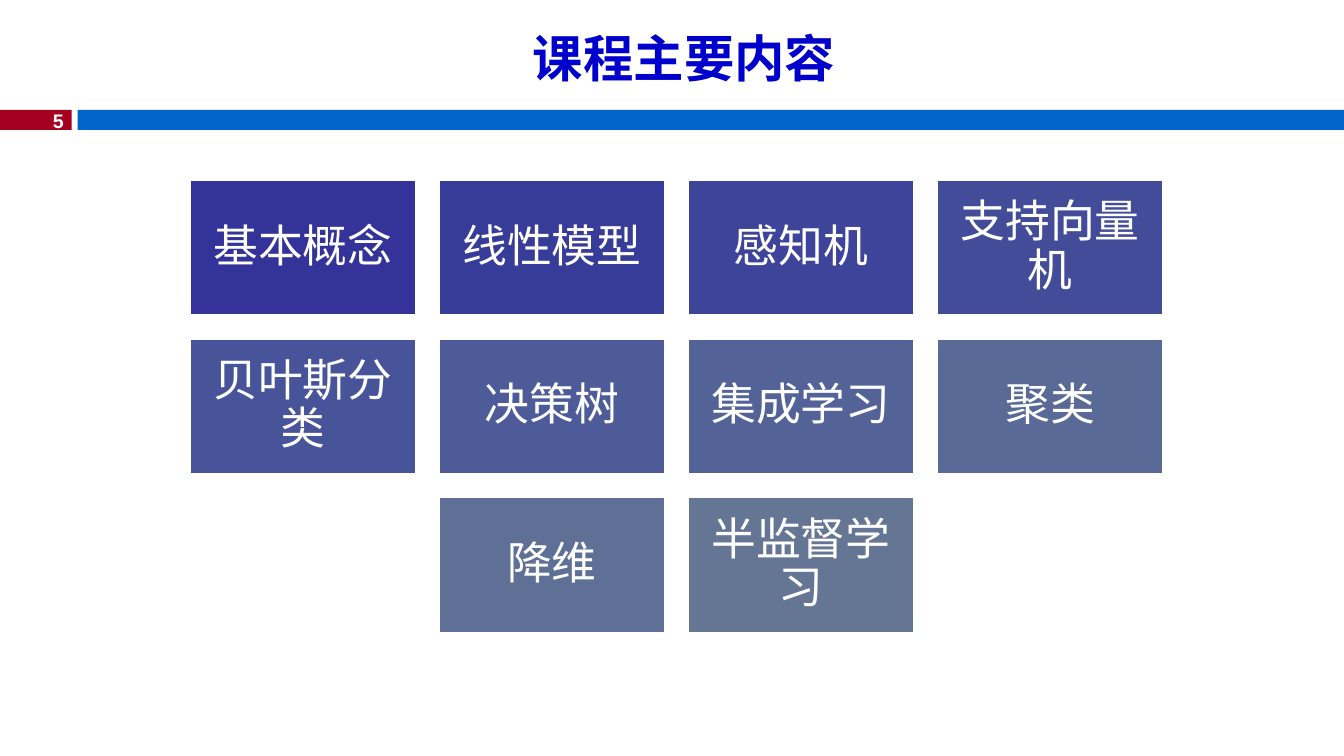
from pptx import Presentation
from pptx import util as u
from pptx.dml.color import RGBColor
from pptx.enum import shapes, text
from pptx.oxml.ns import qn
from lxml import etree

PX = 9144  # 100 px to the inch

WHITE = RGBColor(0xFF, 0xFF, 0xFF)
RED = RGBColor(0xA5, 0x00, 0x21)
BLUE = RGBColor(0x00, 0x66, 0xCC)
NAVY = RGBColor(0x00, 0x00, 0xCC)

LATIN = "Arial"
HAN = "Noto Sans CJK SC"

# Topics in reading order, each with its tile colour
TOPICS = [
    ("基本概念", RGBColor(0x33, 0x33, 0x99)),
    ("线性模型", RGBColor(0x38, 0x3C, 0x99)),
    ("感知机", RGBColor(0x3D, 0x44, 0x99)),
    ("支持向量机", RGBColor(0x42, 0x4C, 0x99)),
    ("贝叶斯分类", RGBColor(0x47, 0x54, 0x99)),
    ("决策树", RGBColor(0x4D, 0x5C, 0x99)),
    ("集成学习", RGBColor(0x53, 0x63, 0x98)),
    ("聚类", RGBColor(0x59, 0x6A, 0x97)),
    ("降维", RGBColor(0x5F, 0x70, 0x96)),
    ("半监督学习", RGBColor(0x65, 0x76, 0x95)),
]
COLS = 4
LEFT, TOP = 188, 178
WIDE, HIGH = 225, 135
STEP_X, STEP_Y = 247, 157.5


def box(x, y, w, h):
    return [u.Emu(round(n * PX)) for n in (x, y, w, h)]


def add_run(par, words, size, face, color, bold=False):
    run = par.add_run()
    run.text = words
    font = run.font
    font.size = u.Pt(size)
    font.bold = bold
    font.name = face
    font.color.rgb = color
    # Chinese letters take their face from a:ea
    etree.SubElement(font._element, qn("a:ea"), typeface=face)


def add_rect(slide, area, fill):
    rect = slide.shapes.add_shape(shapes.MSO_SHAPE.RECTANGLE, *box(*area))
    rect.shadow.inherit = False
    rect.fill.solid()
    rect.fill.fore_color.rgb = fill
    rect.line.fill.background()
    return rect


def add_label(slide, area, words, size, color, align, wrap=True):
    frame = slide.shapes.add_textbox(*box(*area)).text_frame
    frame.word_wrap = wrap
    par = frame.paragraphs[0]
    par.alignment = align
    add_run(par, words, size, LATIN, color, bold=True)
    return frame


def add_tile(slide, area, words, fill):
    tile = add_rect(slide, area, fill)
    tile.line.color.rgb = WHITE
    tile.line.width = u.Pt(2)
    frame = tile.text_frame
    frame.word_wrap = True
    frame.vertical_anchor = text.MSO_ANCHOR.MIDDLE
    pad = u.Emu(13 * PX)
    frame.margin_left = frame.margin_right = pad
    frame.margin_top = frame.margin_bottom = pad
    par = frame.paragraphs[0]
    par.alignment = text.PP_ALIGN.CENTER
    par.line_spacing = 0.9
    add_run(par, words, 32, HAN, WHITE)


def add_grid(slide):
    for i, (words, fill) in enumerate(TOPICS):
        row, col = divmod(i, COLS)
        # A short last row is centred
        count = min(COLS, len(TOPICS) - row * COLS)
        x = LEFT + (col + (COLS - count) / 2) * STEP_X
        y = TOP + row * STEP_Y
        add_tile(slide, (x, y, WIDE, HIGH), words, fill)


def main():
    deck = Presentation()
    deck.slide_width, deck.slide_height = box(0, 0, 1333, 750)[2:]
    slide = deck.slides.add_slide(deck.slide_layouts[6])

    # Header band and page number
    add_rect(slide, (0, 109, 71, 20), RED)
    add_rect(slide, (77, 109, 1256, 20), BLUE)
    page = add_label(slide, (29, 103, 44, 34), "5", 14, WHITE,
                     text.PP_ALIGN.RIGHT, wrap=False)
    page.auto_size = text.MSO_AUTO_SIZE.SHAPE_TO_FIT_TEXT

    # Title
    add_label(slide, (68, 22, 1221, 80), "课程主要内容", 36, NAVY,
              text.PP_ALIGN.CENTER)

    # Topic tiles
    add_grid(slide)

    deck.save("out.pptx")


if __name__ == "__main__":
    main()
